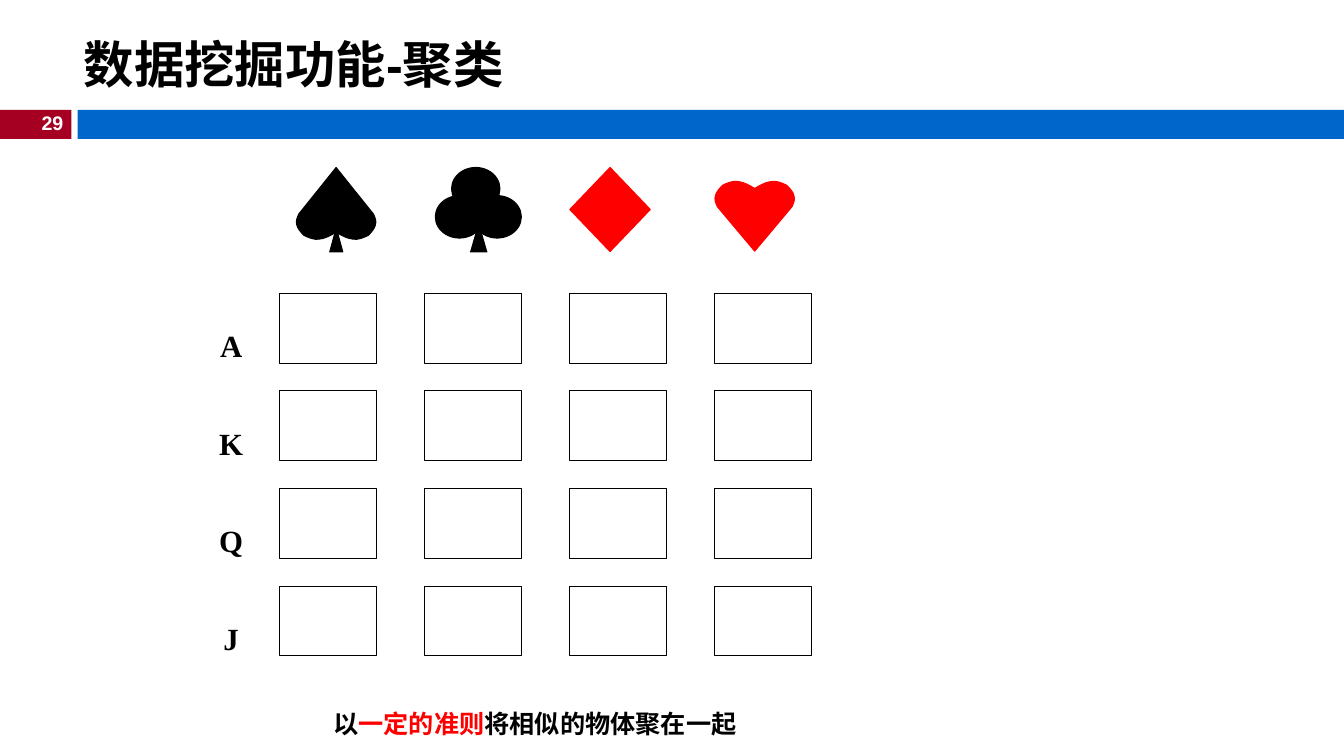
import dataclasses
import typing

import pptx
import pptx.dml.color
import pptx.enum.shapes
import pptx.enum.text
import pptx.oxml
import pptx.oxml.ns
import pptx.util

Cm = pptx.util.Cm
RGB = pptx.dml.color.RGBColor
SHAPE = pptx.enum.shapes.MSO_SHAPE
ALIGN = pptx.enum.text.PP_ALIGN
ANCHOR = pptx.enum.text.MSO_ANCHOR


@dataclasses.dataclass(frozen=True)
class Theme:
    black: RGB = RGB(0x00, 0x00, 0x00)
    white: RGB = RGB(0xFF, 0xFF, 0xFF)
    red: RGB = RGB(0xFF, 0x00, 0x00)
    crimson: RGB = RGB(0xA5, 0x00, 0x21)
    blue: RGB = RGB(0x00, 0x66, 0xCC)
    sans: str = "Arial"
    serif: str = "Times New Roman"
    title_size: float = 36
    rank_size: float = 22
    caption_size: float = 18
    number_size: float = 14
    line_width: float = 0.75


THEME = Theme()


class Box(typing.NamedTuple):
    """Place and size in centimetres."""
    left: float
    top: float
    width: float
    height: float

    def lengths(self) -> list[int]:
        return [Cm(value) for value in self]


class Part(typing.NamedTuple):
    kind: SHAPE
    box: Box
    fill: RGB | None
    line: RGB | None


class Rank(typing.NamedTuple):
    letter: str
    label_height: float


class Words(typing.NamedTuple):
    text: str
    color: RGB


def paint(shape, fill: RGB | None, line: RGB | None) -> None:
    shape.shadow.inherit = False
    if fill is None:
        shape.fill.background()
    else:
        shape.fill.solid()
        shape.fill.fore_color.rgb = fill
    if line is None:
        shape.line.fill.background()
    else:
        shape.line.color.rgb = line
        shape.line.width = pptx.util.Pt(THEME.line_width)


def draw_part(slide, part: Part) -> None:
    shape = slide.shapes.add_shape(part.kind, *part.box.lengths())
    paint(shape, part.fill, part.line)


def draw_text(slide, box: Box, phrases: list[Words], font: str, size: float,
              align: ALIGN = ALIGN.LEFT, anchor: ANCHOR = ANCHOR.TOP,
              spacing: float = 1.0, wrap: bool = True) -> None:
    frame = slide.shapes.add_textbox(*box.lengths()).text_frame
    frame.word_wrap = wrap
    frame.vertical_anchor = anchor
    paragraph = frame.paragraphs[0]
    paragraph.alignment = align
    paragraph.line_spacing = spacing
    for words in phrases:
        run = paragraph.add_run()
        run.text = words.text
        run.font.name = font
        run.font.size = pptx.util.Pt(size)
        run.font.bold = True
        run.font.color.rgb = words.color


# Right half of a heart from its notch: two controls and an end for each curve
HALF_HEART = [
    (0, 0.18),
    (0.05, 0.15), (0.13, 0.1), (0.18, 0.08),
    (0.28, 0.03), (0.38, 0), (0.51, 0),
    (0.61, 0.01), (0.71, 0.05), (0.81, 0.1),
    (0.89, 0.18), (0.97, 0.27), (0.99, 0.36),
    (1.02, 0.46), (0.99, 0.53), (0.94, 0.64),
]


def bend(segments: list) -> None:
    """Join each three straight segments into one cubic curve."""
    for first in range(0, len(segments), 3):
        curve = pptx.oxml.parse_xml(
            f'<a:cubicBezTo {pptx.oxml.ns.nsdecls("a")}/>')
        segments[first].addprevious(curve)
        for segment in segments[first:first + 3]:
            curve.append(segment[0])
            segment.getparent().remove(segment)


def draw_heart(slide, center: float, top: float, height: float, color: RGB,
               rotation: float = 0) -> None:
    right = [(Cm(center + x), Cm(top + y)) for x, y in HALF_HEART]
    left = [(Cm(center - x), Cm(top + y)) for x, y in reversed(HALF_HEART)]
    tip = (Cm(center), Cm(top + height))
    outline = slide.shapes.build_freeform(*right[0], scale=1.0)
    outline.add_line_segments(right[1:] + [tip] + left, close=True)
    heart = outline.convert_to_shape()
    segments = heart.element.xpath(".//a:lnTo")
    curved = len(HALF_HEART) - 1
    bend(segments[:curved])
    bend(segments[curved + 2:curved * 2 + 2])
    heart.rotation = rotation
    paint(heart, color, color)


HEADER_BARS = [
    Part(SHAPE.RECTANGLE, Box(0, 2.77, 1.8, 0.73), THEME.crimson, None),
    Part(SHAPE.RECTANGLE, Box(1.96, 2.77, 31.91, 0.73), THEME.blue, None),
]

CLUB_LEAVES = [(11.38, 4.22), (11.92, 4.93), (10.97, 4.93)]
SUIT_PARTS = [
    *(Part(SHAPE.OVAL, Box(left, top, 1.22, 1.07), THEME.black, THEME.black)
      for left, top in CLUB_LEAVES),
    Part(SHAPE.FLOWCHART_EXTRACT, Box(11.86, 5.64, 0.41, 0.71), THEME.black, THEME.black),
    Part(SHAPE.FLOWCHART_DECISION, Box(14.36, 4.22, 2.03, 2.12), THEME.red, THEME.red),
    Part(SHAPE.FLOWCHART_EXTRACT, Box(8.31, 5.74, 0.33, 0.61), THEME.black, THEME.black),
]

RANKS = [Rank("A", 3.05), Rank("K", 5.08), Rank("Q", 5.08), Rank("J", 3.05)]
SUIT_COUNT = 4
FIRST_CARD = Box(7.05, 7.39, 2.45, 1.76)
COLUMN_STEP, ROW_STEP = 3.65, 2.46
LABEL_LEFT, LABEL_TOP = 4.6, 7.03

CAPTION = [
    Words("以", THEME.black),
    Words("一定的准则", THEME.red),
    Words("将相似的物体聚在一起", THEME.black),
]


def main() -> None:
    deck = pptx.Presentation()
    deck.slide_width, deck.slide_height = Cm(33.87), Cm(19.05)
    slide = deck.slides.add_slide(deck.slide_layouts[6])

    # Header: bars, slide number and title
    for bar in HEADER_BARS:
        draw_part(slide, bar)
    draw_text(slide, Box(0.73, 2.67, 1.12, 0.86), [Words("29", THEME.white)],
              THEME.sans, THEME.number_size, ALIGN.RIGHT, wrap=False)
    draw_text(slide, Box(1.86, 0.66, 32, 1.88), [Words("数据挖掘功能-聚类", THEME.black)],
              THEME.sans, THEME.title_size, anchor=ANCHOR.MIDDLE)

    # Suits: the spade is a heart turned upside down
    draw_heart(slide, center=19.02, top=4.57, height=1.76, color=THEME.red)
    draw_heart(slide, center=8.47, top=4.22, height=1.81, color=THEME.black, rotation=180)
    for part in SUIT_PARTS:
        draw_part(slide, part)

    # Grid of cards with a rank beside each row
    for row, rank in enumerate(RANKS):
        drop = row * ROW_STEP
        for column in range(SUIT_COUNT):
            card = FIRST_CARD._replace(left=FIRST_CARD.left + column * COLUMN_STEP,
                                       top=FIRST_CARD.top + drop)
            draw_part(slide, Part(SHAPE.RECTANGLE, card, None, THEME.black))
        draw_text(slide, Box(LABEL_LEFT, LABEL_TOP + drop, FIRST_CARD.width, rank.label_height),
                  [Words(rank.letter, THEME.black)], THEME.serif, THEME.rank_size,
                  ALIGN.CENTER, spacing=2.16)

    # Caption
    draw_text(slide, Box(8.15, 17.73, 11.89, 1.02), CAPTION, THEME.serif, THEME.caption_size)

    deck.save("out.pptx")


if __name__ == "__main__":
    main()
